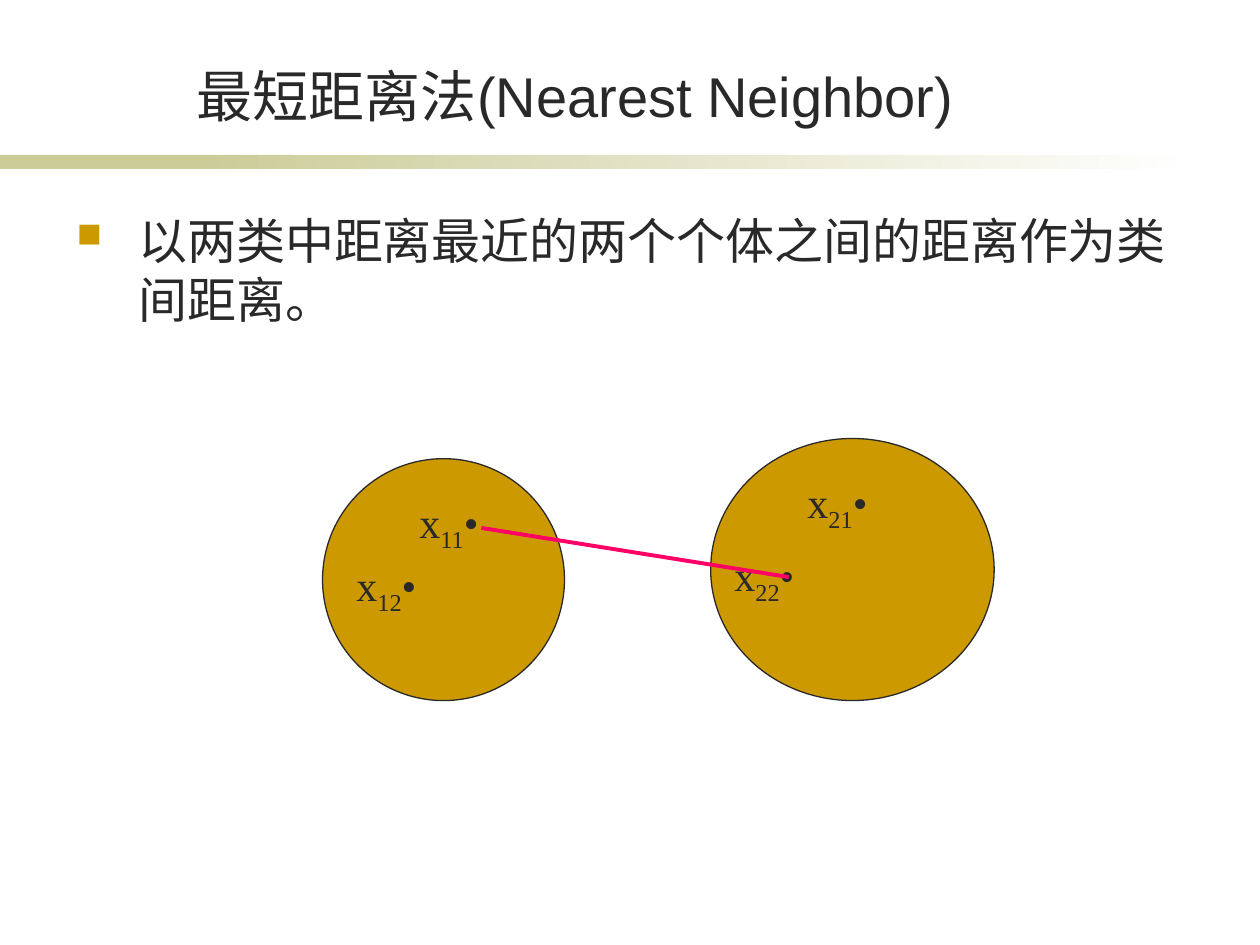
from dataclasses import dataclass

from lxml.etree import SubElement
from pptx import Presentation
from pptx.dml.color import RGBColor
from pptx.enum.shapes import MSO_CONNECTOR, MSO_SHAPE
from pptx.enum.text import MSO_ANCHOR, MSO_AUTO_SIZE, PP_ALIGN
from pptx.oxml.ns import qn
from pptx.util import Inches, Pt

INK, GOLD, SAND, WHITE, PINK = "292929", "CC9900", "CCCC99", "FFFFFF", "FF0066"


@dataclass
class Area:
    """Place on a grid of 100 columns by 75 rows."""
    column: float
    row: float
    columns: float
    rows: float


@dataclass
class PointLabel:
    subscript: str
    area: Area
    wrap: bool = False


CLUSTERS = [Area(25.6, 36.4, 19.2, 19.2), Area(56.4, 34.8, 22.5, 20.8)]
POINTS = [
    PointLabel("21", Area(63.1, 37.3, 7.1, 5)),
    PointLabel("12", Area(27.3, 43.9, 9.2, 5), wrap=True),
    PointLabel("22", Area(57.3, 43.1, 7.1, 5)),
    PointLabel("11", Area(32.3, 38.9, 7.1, 5)),
]


def cells(count: float) -> int:
    return Inches(count / 10)


def place(area: Area) -> tuple:
    return tuple(cells(n) for n in (area.column, area.row, area.columns, area.rows))


def color(value: str) -> RGBColor:
    return RGBColor.from_string(value)


def style(span, size: float, name: str) -> None:
    span.font.size = Pt(size)
    span.font.name = name
    span.font.color.rgb = color(INK)


def add_text(shapes, area: Area, text: str, size: float):
    box = shapes.add_textbox(*place(area))
    box.text_frame.word_wrap = True
    box.text_frame.text = text
    para = box.text_frame.paragraphs[0]
    style(para.runs[0], size, "Arial")
    return box, para


def add_band(shapes, area: Area, fades: bool = False) -> None:
    band = shapes.add_shape(MSO_SHAPE.RECTANGLE, *place(area))
    band.shadow.inherit = False
    band.line.fill.background()
    if fades:
        band.fill.gradient()
        band.fill.gradient_angle = 0
        for stop, value in zip(band.fill.gradient_stops, (SAND, WHITE)):
            stop.color.rgb = color(value)
    else:
        band.fill.solid()
        band.fill.fore_color.rgb = color(SAND)


def add_bullet(para, indent: float) -> None:
    properties = para._p.get_or_add_pPr()
    properties.set("marL", str(Inches(indent)))
    properties.set("indent", str(-Inches(indent)))
    bullet_color = SubElement(properties, qn("a:buClr"))
    SubElement(bullet_color, qn("a:srgbClr"), val=GOLD)
    SubElement(properties, qn("a:buSzPct"), val="70000")
    SubElement(properties, qn("a:buChar"), char="■")


def add_cluster(shapes, area: Area) -> None:
    cluster = shapes.add_shape(MSO_SHAPE.OVAL, *place(area))
    cluster.shadow.inherit = False
    cluster.fill.solid()
    cluster.fill.fore_color.rgb = color(GOLD)
    cluster.line.color.rgb = color(INK)
    cluster.line.width = Pt(0.75)


def add_point(shapes, point: PointLabel) -> None:
    box = shapes.add_textbox(*place(point.area))
    box.text_frame.word_wrap = point.wrap
    box.text_frame.auto_size = MSO_AUTO_SIZE.SHAPE_TO_FIT_TEXT
    para = box.text_frame.paragraphs[0]
    for text in ("x", point.subscript, "•"):
        span = para.add_run()
        span.text = text
        style(span, 24, "Times New Roman")
        if text == point.subscript:
            span._r.get_or_add_rPr().set("baseline", "-25000")


def add_distance(shapes, start: tuple, end: tuple) -> None:
    line = shapes.add_connector(MSO_CONNECTOR.STRAIGHT, *map(cells, start + end))
    line.line.color.rgb = color(PINK)
    line.line.width = Pt(2.25)
    SubElement(line._element.spPr, qn("a:effectLst"))


def main() -> None:
    deck = Presentation()
    deck.slide_width, deck.slide_height = cells(100), cells(75)
    page = deck.slides.add_slide(deck.slide_layouts[6])

    # Band under the title
    add_band(page.shapes, Area(0, 12.3, 23.3, 1.1))
    add_band(page.shapes, Area(15.8, 12.3, 79.2, 1.1), fades=True)

    # Title and statement
    title, para = add_text(page.shapes, Area(11.4, 4.4, 68.5, 6.3),
                           "最短距离法(Nearest Neighbor)", 32)
    title.text_frame.vertical_anchor = MSO_ANCHOR.BOTTOM
    para.alignment = PP_ALIGN.CENTER
    body, para = add_text(page.shapes, Area(5.1, 16.2, 89, 48),
                          "以两类中距离最近的两个个体之间的距离作为类间距离。", 28)
    add_bullet(para, 0.49)

    # Two clusters, their points and the shortest distance
    diagram = page.shapes.add_group_shape().shapes
    for area in CLUSTERS:
        add_cluster(diagram, area)
    for point in POINTS:
        add_point(diagram, point)
    add_distance(diagram, (38.2, 41.9), (62.6, 45.8))

    deck.save("out.pptx")


if __name__ == "__main__":
    main()
